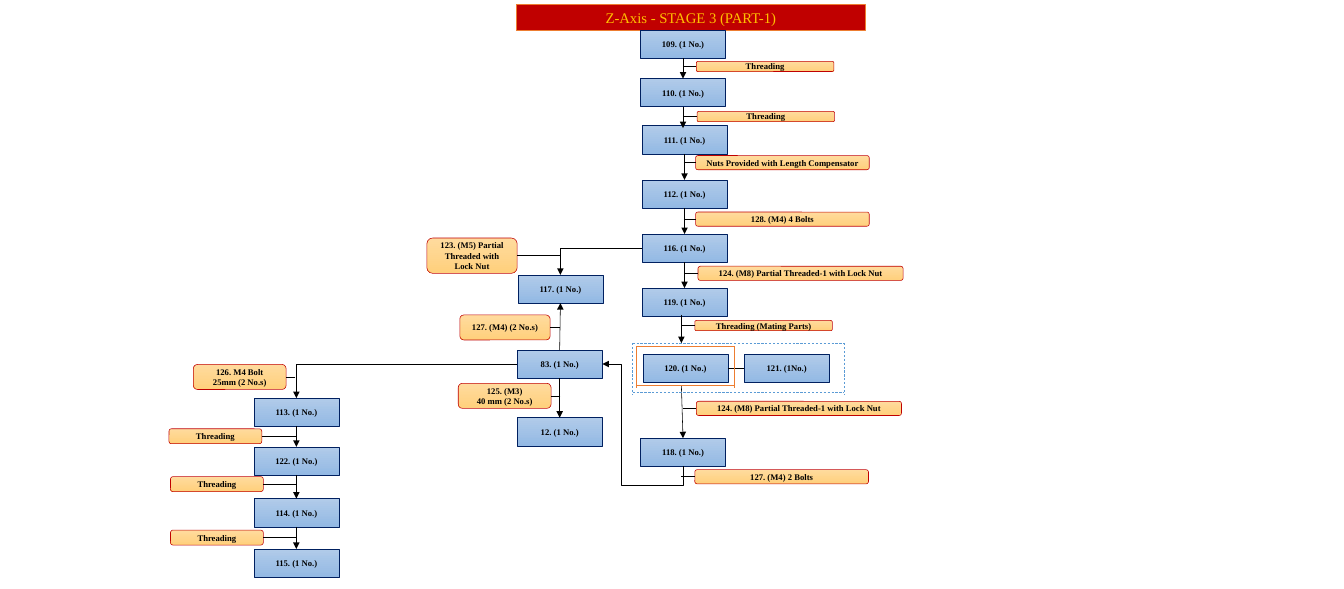
"""Draw the Z-axis stage 3 assembly flow chart."""
from dataclasses import dataclass
from typing import NamedTuple, Union

from lxml.etree import SubElement as Sub
from pptx import Presentation as Deck
from pptx.dml.color import RGBColor as Rgb
from pptx.enum.dml import MSO_LINE_DASH_STYLE as Dash
from pptx.enum.shapes import MSO_CONNECTOR as Wire, MSO_SHAPE as Form
from pptx.enum.text import PP_ALIGN as Align
from pptx.oxml.ns import qn
from pptx.util import Pt

HUES = {"red": "C00000", "gold": "FFC000", "navy": "002060", "black": "000000",
        "orange": "ED7D31", "blue": "5B9BD5", "sky": "B1CBE9", "sea": "93B9E4",
        "cream": "FFDB9E", "peach": "FFD07C"}
BODY = {"name": "Times New Roman", "size": Pt(7.9), "bold": True}
HEAD = {"name": "Times New Roman", "size": Pt(13.5), "bold": False}
WIDE, HIGH = 77.8, 25.9
TOP, LEFT, BASE, RIGHT = range(4)


@dataclass
class Part:
    key: str
    x: float
    y: float
    count: str = "(1 No.)"


@dataclass
class Label:
    text: str
    x: float
    y: float
    w: float
    h: float
    trunk: float


class Spot(NamedTuple):
    key: str
    side: int


class Point(NamedTuple):
    x: float
    y: float


class Link(NamedTuple):
    start: Union[Spot, Point]
    end: Union[Spot, Point]
    head: bool = True


class Frame(NamedTuple):
    x: float
    y: float
    x2: float
    y2: float
    hue: str
    dash: bool


PARTS = [
    Part("109", 586.8, 27.4), Part("110", 586.8, 72), Part("111", 588.2, 115.2),
    Part("112", 588.2, 164.9), Part("116", 588.2, 214.6), Part("119", 588.2, 264.2),
    Part("118", 586.8, 401.8), Part("120", 589, 324.7),
    Part("121", 681.8, 324.7, "(1No.)"), Part("117", 474.5, 252),
    Part("83", 473.8, 321.1), Part("12", 473.8, 383), Part("113", 232.6, 365),
    Part("122", 232.6, 409.7), Part("114", 232.6, 457.2), Part("115", 232.6, 503.3),
]
LABELS = [
    Label("Threading", 637.9, 56.2, 126, 9.4, 625.7),
    Label("Threading", 638.6, 102.2, 126, 9.4, 625.7),
    Label("Nuts Provided with Length Compensator", 637.2, 142.6, 159.1, 13, 626.4),
    Label("128. (M4) 4 Bolts", 637.2, 194.4, 159.1, 13, 626.4),
    Label("124. (M8) Partial Threaded-1 with Lock Nut", 639.4, 244.1, 187.9, 13, 627.1),
    Label("Threading (Mating Parts)", 636.5, 293.8, 126, 9.4, 624.2),
    Label("124. (M8) Partial Threaded-1 with Lock Nut", 637.9, 367.9, 187.9, 13, 625.7),
    Label("127. (M4) 2 Bolts", 636.5, 430.6, 159.1, 13, 624.2),
    Label("123. (M5) Partial Threaded with Lock Nut", 391, 218.2, 82.8, 32.4, 513.4),
    Label("127. (M4) (2 No.s)", 421.2, 288.7, 82.8, 23, 512.6),
    Label("125. (M3)\n40 mm (2 No.s)", 419.8, 351.4, 85, 23, 513.4),
    Label("126. M4 Bolt\n25mm (2 No.s)", 177.1, 334.1, 85, 23, 270.7),
    Label("Threading", 154.8, 393.1, 85, 13.7, 271.4),
    Label("Threading", 156.2, 437, 85, 13.7, 271.4),
    Label("Threading", 156.2, 486, 85, 13.7, 271.4),
]
DOWN = [("109", "110"), ("111", "112"), ("112", "116"), ("116", "119"),
        ("83", "12"), ("113", "122"), ("122", "114"), ("114", "115")]
LINKS = [Link(Spot(a, BASE), Spot(b, TOP)) for a, b in DOWN] + [
    Link(Spot("110", BASE), Point(625.7, 117.4)),
    Link(Point(624.2, 288.7), Point(624.2, 314.6)),
    Link(Point(624.2, 353.5), Spot("118", TOP)),
    Link(Spot("83", TOP), Spot("117", BASE)),
    Link(Spot("120", RIGHT), Spot("121", LEFT), False),
]
BENDS = [Link(Spot("116", LEFT), Spot("117", TOP)),
         Link(Spot("83", LEFT), Spot("113", TOP))]
FRAMES = [Frame(579.6, 314.6, 773.3, 359.3, "blue", True),
          Frame(582.5, 317.5, 672.5, 353.5, "orange", False)]


def tint(name: str) -> Rgb:
    return Rgb.from_string(HUES[name])


def block(form: Form, text: str, area: tuple, fills: tuple, edge: str,
          ink: str = "black", style: dict = BODY):
    shape = shapes.add_shape(form, *map(Pt, area))
    shape.shadow.inherit = False
    if len(fills) == 1:
        shape.fill.solid()
        shape.fill.fore_color.rgb = tint(fills[0])
    else:
        shape.fill.gradient()
        shape.fill.gradient_angle = 270
        for stop, name in zip(shape.fill.gradient_stops, fills):
            stop.color.rgb = tint(name)
    shape.line.color.rgb = tint(edge)
    shape.line.width = Pt(0.5)
    frame = shape.text_frame
    frame.word_wrap = True
    frame.margin_top = frame.margin_bottom = 0
    frame.text = text
    for para in frame.paragraphs:
        para.alignment = Align.CENTER
        for key, value in style.items():
            setattr(para.font, key, value)
        para.font.color.rgb = tint(ink)
    return shape


def wire(start: Point, end: Point, hue: str = "black", head: bool = False,
         kind: Wire = Wire.STRAIGHT, dash: bool = False):
    line = shapes.add_connector(kind, *map(Pt, (*start, *end)))
    line.line.color.rgb = tint(hue)
    line.line.width = Pt(0.5)
    if dash:
        line.line.dash_style = Dash.DASH
    props = line.element.spPr
    if head:
        Sub(props.find(qn("a:ln")), qn("a:tailEnd"), type="triangle")
    Sub(props, qn("a:effectLst"))
    return line


def join(link: Link, kind: Wire = Wire.STRAIGHT):
    ends = [end if isinstance(end, Point) else Point(0, 0) for end in link[:2]]
    line = wire(*ends, head=link.head, kind=kind)
    for end, hook in zip(link[:2], (line.begin_connect, line.end_connect)):
        if isinstance(end, Spot):
            hook(boxes[end.key], end.side)
    return line


def bend(link: Link, form: str):
    line = join(link, Wire.ELBOW)
    line.element.spPr.find(qn("a:prstGeom")).set("prst", form)
    return line


def loop(link: Link) -> None:
    line = bend(link, "bentConnector4")
    turn = {"begin_x": 635.8, "begin_y": 343.4, "end_x": 542.2, "end_y": 417.6}
    for key, value in turn.items():
        setattr(line, key, Pt(value))
    props = line.element.spPr
    props.find(qn("a:xfrm")).set("rot", "5400000")
    guides = props.find(qn("a:prstGeom")).find(qn("a:avLst"))
    for name, value in (("adj1", -19300), ("adj2", 76200)):
        Sub(guides, qn("a:gd"), name=name, fmla=f"val {value}")


def tag(label: Label) -> None:
    area = (label.x, label.y, label.w, label.h)
    shape = block(Form.ROUNDED_RECTANGLE, label.text, area, ("cream", "peach"), "red")
    mid = label.y + label.h / 2
    after = label.trunk < label.x
    edge = label.x if after else label.x + label.w
    line = wire(Point(label.trunk, mid), Point(edge, mid))
    line.end_connect(shape, LEFT if after else RIGHT)


def border(box: Frame) -> None:
    x, y, x2, y2, hue, dash = box
    for side in ((x, y, x2, y), (x, y2, x2, y2), (x, y, x, y2 + 2), (x2, y, x2, y2 + 2)):
        wire(Point(*side[:2]), Point(*side[2:]), hue, dash=dash)


deck = Deck()
deck.slide_width, deck.slide_height = Pt(1231.2), Pt(540)
shapes = deck.slides.add_slide(deck.slide_layouts[6]).shapes
block(Form.RECTANGLE, "Z-Axis - STAGE 3 (PART-1)", (473, 4.3, 319.7, 23.8),
      ("red",), "orange", "gold", HEAD)
boxes = {part.key: block(Form.RECTANGLE, f"{part.key}. {part.count}",
                         (part.x, part.y, WIDE, HIGH), ("sky", "sea"), "navy")
         for part in PARTS}
for link in LINKS:
    join(link)
for link in BENDS:
    bend(link, "bentConnector2")
loop(Link(Spot("118", BASE), Spot("83", RIGHT)))
for box in FRAMES:
    border(box)
for label in LABELS:
    tag(label)
deck.save("out.pptx")
